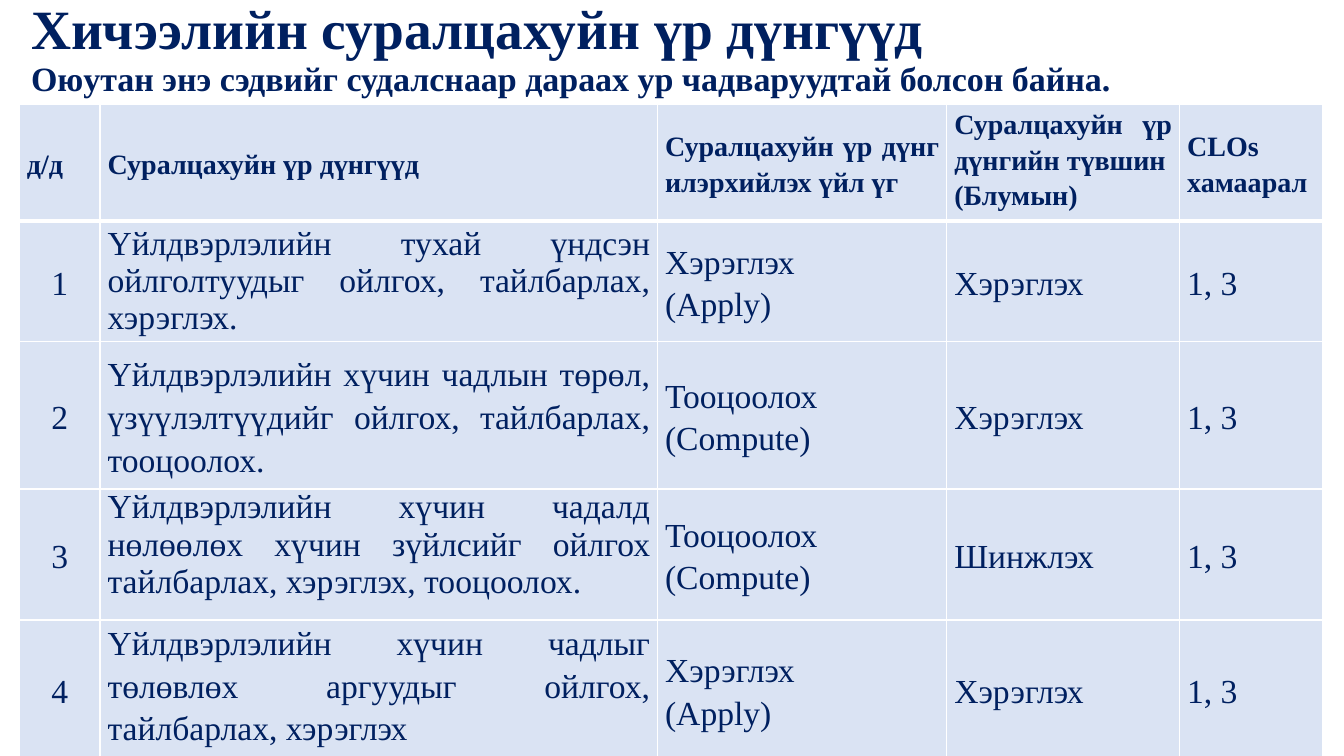
from dataclasses import dataclass

from pptx import Presentation
from pptx.dml.color import RGBColor
from pptx.enum.text import MSO_ANCHOR as Anchor, PP_ALIGN as Align
from pptx.oxml import parse_xml
from pptx.oxml.ns import nsdecls
from pptx.util import Pt

COLORS = {"navy": "002060", "pale": "DAE3F3", "white": "FFFFFF"}
FONT = "Times New Roman"
COLUMN_WIDTHS = [57.6, 398.2, 206.6, 166.3, 102.2]
HEADER_HEIGHT = 79.2
HEADER_SIZE, BODY_SIZE = 20, 24
WIDE_SPACING = 1.15


@dataclass
class CellText:
    lines: list[str]
    spacing: float = WIDE_SPACING
    anchor: Anchor = Anchor.MIDDLE
    align: Align = Align.JUSTIFY


@dataclass
class Outcome:
    description: CellText
    verb: list[str]
    level: str
    height: float
    clos: str = "1, 3"

    def cells(self, number: int) -> list[CellText]:
        return [CellText([str(number)], align=Align.CENTER), self.description,
                CellText(self.verb), CellText([self.level]), CellText([self.clos])]


HEADERS = [
    CellText(["д/д"]),
    CellText(["Суралцахуйн үр дүнгүүд"]),
    CellText(["Суралцахуйн үр дүнг илэрхийлэх үйл үг"]),
    CellText(["Суралцахуйн үр дүнгийн түвшин", "(Блумын)"], anchor=Anchor.TOP),
    CellText(["CLOs хамаарал"]),
]
OUTCOMES = [
    Outcome(CellText(["Үйлдвэрлэлийн тухай үндсэн ойлголтуудыг ойлгох, тайлбарлах, хэрэглэх."],
                     spacing=1),
            ["Хэрэглэх", "(Apply)"], "Хэрэглэх", 85),
    Outcome(CellText(["Үйлдвэрлэлийн хүчин чадлын төрөл, үзүүлэлтүүдийг ойлгох, "
                      "тайлбарлах, тооцоолох."]),
            ["Тооцоолох", "(Compute)"], "Хэрэглэх", 105.1),
    Outcome(CellText(["Үйлдвэрлэлийн хүчин чадалд нөлөөлөх хүчин зүйлсийг ойлгох "
                      "тайлбарлах, хэрэглэх, тооцоолох."], spacing=1, anchor=Anchor.TOP),
            ["Тооцоолох", "(Compute)"], "Шинжлэх", 93.6),
    Outcome(CellText(["Үйлдвэрлэлийн хүчин чадлыг төлөвлөх аргуудыг ойлгох, "
                      "тайлбарлах, хэрэглэх"], anchor=Anchor.TOP),
            ["Хэрэглэх", "(Apply)"], "Хэрэглэх", 95),
]


def add_run(paragraph, text: str, size: float, bold: bool) -> None:
    run = paragraph.add_run()
    run.text = text
    run.font.name = FONT
    run.font.size = Pt(size)
    run.font.bold = bold
    run.font.color.rgb = RGBColor.from_string(COLORS["navy"])


def add_heading(slide) -> None:
    frame = slide.shapes.add_textbox(Pt(15.1), Pt(8.6), Pt(931), Pt(54.7)).text_frame
    frame.word_wrap = True
    frame.vertical_anchor = Anchor.MIDDLE
    paragraph = frame.paragraphs[0]
    paragraph.line_spacing = 0.9
    add_run(paragraph, "Хичээлийн суралцахуйн үр дүнгүүд", 39.6, True)
    paragraph.add_line_break()
    add_run(paragraph, "Оюутан энэ сэдвийг судалснаар дараах ур чадваруудтай болсон байна.",
            24.3, True)


def set_borders(cell, widths: dict[str, float]) -> None:
    properties = cell._tc.get_or_add_tcPr()
    for index, (side, width) in enumerate(widths.items()):
        properties.insert(index, parse_xml(
            f'<a:ln{side} {nsdecls("a")} w="{Pt(width)}"><a:solidFill>'
            f'<a:srgbClr val="{COLORS["white"]}"/></a:solidFill></a:ln{side}>'))


def fill_cell(cell, content: CellText, size: float, bold: bool,
              top: float, bottom: float) -> None:
    cell.fill.solid()
    cell.fill.fore_color.rgb = RGBColor.from_string(COLORS["pale"])
    cell.margin_left = cell.margin_right = Pt(5.4)
    cell.margin_top = cell.margin_bottom = Pt(0)
    cell.vertical_anchor = content.anchor
    set_borders(cell, {"L": 1, "R": 1, "T": top, "B": bottom})
    for index, line in enumerate(content.lines):
        frame = cell.text_frame
        paragraph = frame.add_paragraph() if index else frame.paragraphs[0]
        paragraph.alignment = content.align
        paragraph.line_spacing = content.spacing
        add_run(paragraph, line, size, bold)


def add_outcome_table(slide) -> None:
    heights = [HEADER_HEIGHT] + [outcome.height for outcome in OUTCOMES]
    table = slide.shapes.add_table(
        len(heights), len(COLUMN_WIDTHS), Pt(13.9), Pt(74.9),
        Pt(sum(COLUMN_WIDTHS)), Pt(sum(heights))).table
    for column, width in zip(table.columns, COLUMN_WIDTHS):
        column.width = Pt(width)
    for row, height in zip(table.rows, heights):
        row.height = Pt(height)

    # Header row, with a thick rule below it
    for cell, content in zip(table.rows[0].cells, HEADERS):
        fill_cell(cell, content, HEADER_SIZE, True, 1, 3)

    # Numbered outcomes
    for number, outcome in enumerate(OUTCOMES, 1):
        top = 3 if number == 1 else 1
        for cell, content in zip(table.rows[number].cells, outcome.cells(number)):
            fill_cell(cell, content, BODY_SIZE, False, top, 1)


def main() -> None:
    deck = Presentation()
    deck.slide_width, deck.slide_height = Pt(960), Pt(540)
    slide = deck.slides.add_slide(deck.slide_layouts[6])
    add_heading(slide)
    add_outcome_table(slide)
    deck.save("out.pptx")


if __name__ == "__main__":
    main()
